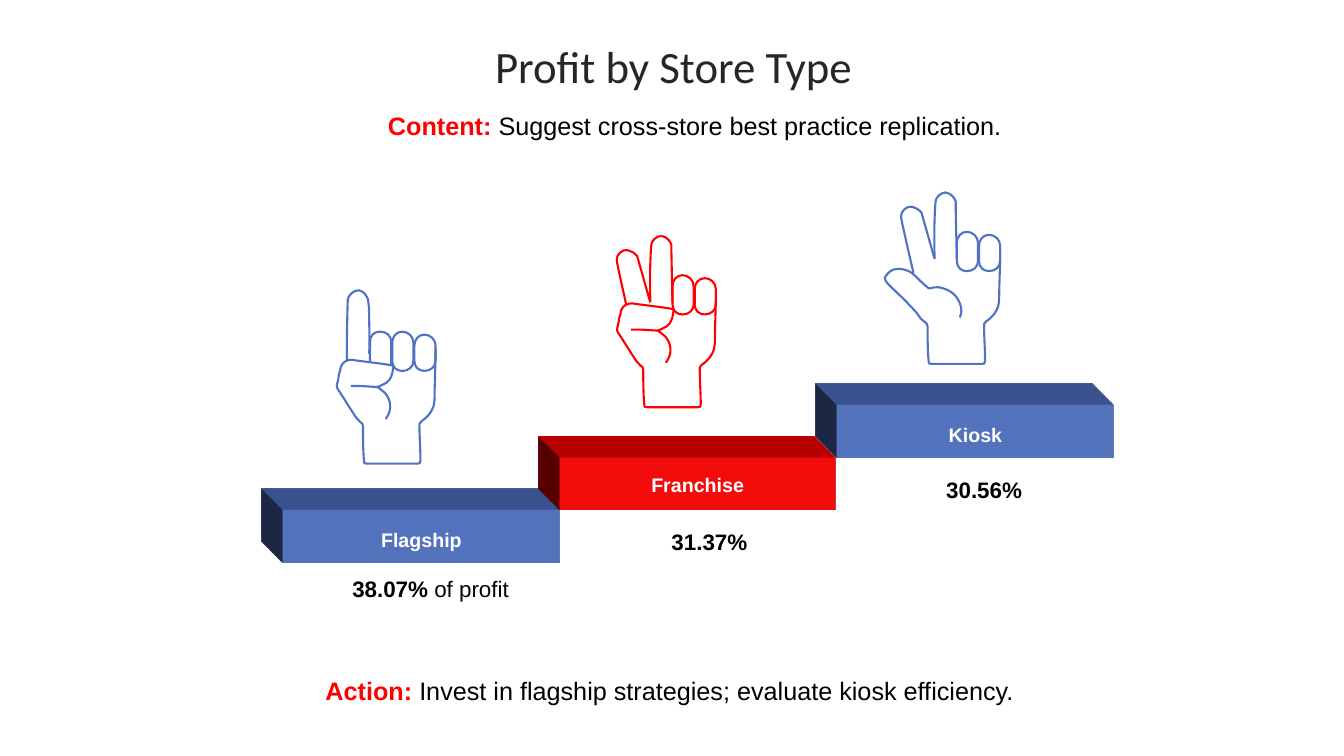
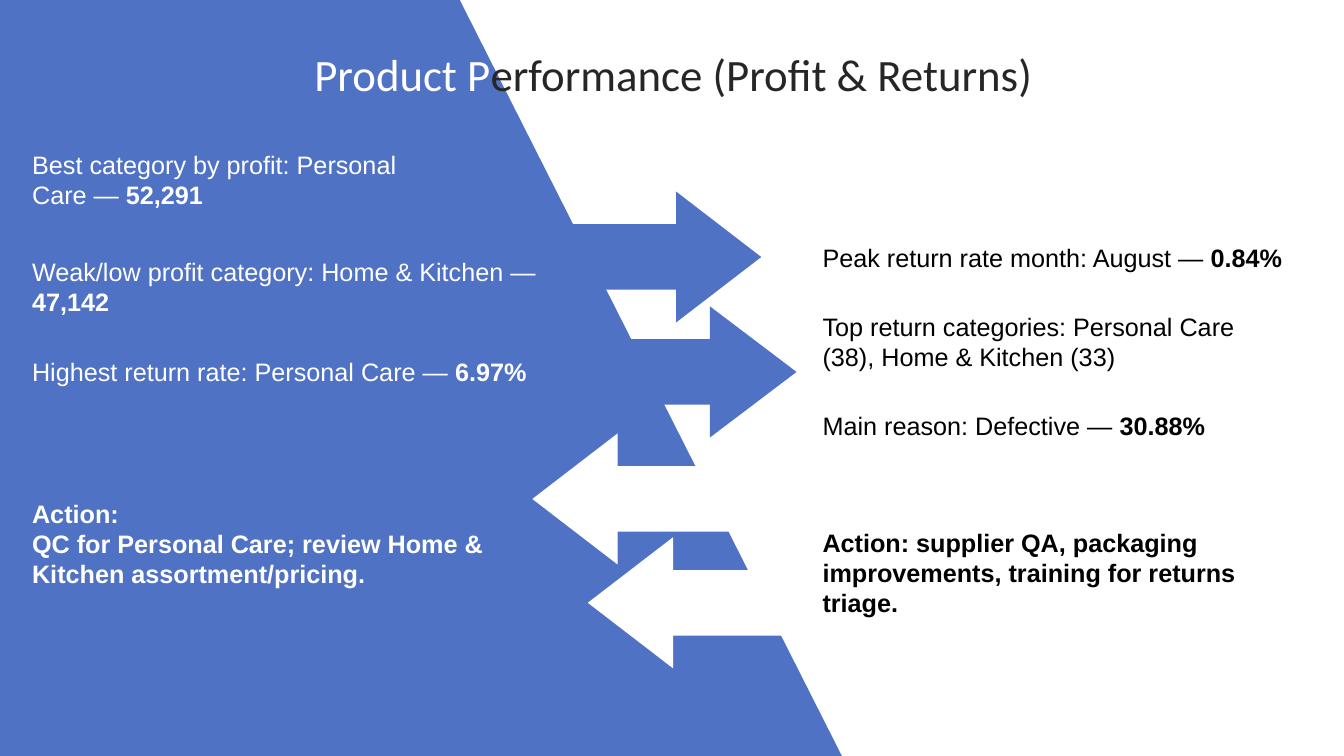
from dataclasses import dataclass

from lxml import etree
from pptx import Presentation
from pptx.dml.color import RGBColor
from pptx.enum.shapes import MSO_SHAPE
from pptx.enum.text import MSO_ANCHOR, PP_ALIGN
from pptx.oxml import parse_xml
from pptx.oxml.ns import nsdecls, qn
from pptx.util import Inches, Pt

RIGHT_ARROW = MSO_SHAPE.RIGHT_ARROW
RECTANGLE = MSO_SHAPE.RECTANGLE
LEFT, CENTER = PP_ALIGN.LEFT, PP_ALIGN.CENTER
TOP, MIDDLE = MSO_ANCHOR.TOP, MSO_ANCHOR.MIDDLE


@dataclass(frozen=True)
class Theme:
    blue: str = "5072C4"
    red: str = "FF0000"
    white: str = "FFFFFF"
    black: str = "000000"
    title_ink: str = "262626"
    title_font: str = "Calibri"
    body_font: str = "Arial"
    title_size: int = 32
    body_size: int = 18
    share_size: int = 16
    step_size: int = 14
    outline: float = 1.5


THEME = Theme()


def folded_finger(left, top, bottom=0.82):
    """Return a closed capsule as a hand path."""
    middle, right = left + 0.1, left + 0.21
    return [(middle, bottom),
            (middle - .06, bottom, left, bottom - .04, left, bottom - .1),
            (left, top + .11), (left, top + .05, middle - .06, top, middle, top),
            (middle + .06, top, right, top + .05, right, top + .11),
            (right, bottom - .1),
            (right, bottom - .04, middle + .06, bottom, middle, bottom)]


# Hand outlines in inches from the hand's own corner: a start point, then
# segments of two numbers (straight) or six numbers (Bezier curve).
FINGER_RIGHT = [
    (.57, .70), (.57, .70, .56, .23, .56, .22), (.56, .20, .56, .14, .56, .13),
    (.55, .10, .52, .05, .46, .04)]
FINGER_LEFT = [
    (.46, .04), (.41, .04, .36, .09, .36, .13), (.36, .13, .34, .32, .35, .69)]
POINTING_FINGER = [
    (.34, .65), (.35, .64, .34, .21, .34, .20), (.34, .18, .33, .12, .33, .11),
    (.32, .08, .29, .03, .24, .02), (.18, .02, .14, .07, .13, .11),
    (.13, .11, .12, .35, .12, .72)]
TILTED_FINGER = [
    (.35, .70), (.22, .24), (.21, .23, .18, .20, .17, .20),
    (.14, .18, .09, .17, .06, .20), (.03, .22, .01, .26, .02, .30)]
TILTED_TO_FIST = [(.06, .50, .11, .71, .11, .72)]
TILTED_TO_THUMB = [(.06, .50, .14, .83, .14, .84)]
FOLDED_MIDDLE = [
    (.35, .72), (.35, .53), (.35, .47, .39, .43, .45, .43),
    (.51, .43, .56, .47, .56, .53), (.56, .76)]
RING_AND_LITTLE = [folded_finger(.57, .43), folded_finger(.79, .46)]
PALM_CREASE = [
    (.16, .97), (.19, .97, .22, .97, .25, .97), (.26, .97, .42, .98, .42, .98),
    (.46, 1, .47, 1.02, .5, 1.04), (.56, 1.11, .57, 1.21, .51, 1.29),
    (.51, 1.29, .51, 1.3, .51, 1.3)]
WRIST = [
    (.28, 1.48, .28, 1.6, .29, 1.71), (.29, 1.74, .29, 1.74, .32, 1.74),
    (.48, 1.74, .65, 1.74, .82, 1.74), (.84, 1.74, .85, 1.74, .85, 1.71),
    (.85, 1.6, .84, 1.47, .84, 1.35), (.84, 1.34, .85, 1.33, .86, 1.32),
    (.92, 1.28, .96, 1.23, .98, 1.17), (.98, 1.15, .99, 1.13, .99, 1.11),
    (.99, .95, 1, .78, 1, .6)]
FIST = [
    (.42, .98), (.43, .97, .44, .97, .45, .97), (.47, .96, .49, .95, .51, .94),
    (.56, .91, .58, .83, .58, .77), (.58, .76, .22, .72, .17, .71),
    (.12, .71, .08, .73, .06, .78), (.06, .8, .05, .83, .04, .86),
    (.04, .88, .03, .93, .02, .96), (.02, .97, .02, .99, .03, 1),
    (.07, 1.06, .17, 1.22, .21, 1.28), (.22, 1.29, .25, 1.33, .27, 1.34),
    (.27, 1.34, .28, 1.35, .28, 1.37)] + WRIST
OPEN_THUMB = [
    (.6, 1.28), (.62, 1.23, .62, 1.19, .6, 1.14), (.56, 1.04, .49, 1, .39, .98),
    (.36, .98, .33, .98, .31, .99), (.3, .99, .29, .99, .29, .99),
    (.25, .96, .18, .89, .16, .87), (.14, .85, .12, .84, .11, .83),
    (.04, .79, -.06, .78, -.11, .84), (-.14, .88, -.18, .88, -.09, .97),
    (-.08, .98, .17, 1.21, .21, 1.29), (.22, 1.3, .26, 1.33, .27, 1.34),
    (.28, 1.35, .28, 1.36, .28, 1.37)] + WRIST

ONE = [POINTING_FINGER, FOLDED_MIDDLE, *RING_AND_LITTLE, PALM_CREASE, FIST]
TWO = [FINGER_LEFT, FINGER_RIGHT, TILTED_FINGER + TILTED_TO_FIST,
       *RING_AND_LITTLE, PALM_CREASE, FIST]
THREE = [FINGER_RIGHT + FINGER_LEFT[1:], OPEN_THUMB,
         TILTED_FINGER + TILTED_TO_THUMB, *RING_AND_LITTLE]


@dataclass(frozen=True)
class Store:
    name: str
    share: str
    suffix: str
    color: str
    sign: list
    hand_corner: tuple
    step_corner: tuple
    name_box: tuple
    share_box: tuple


STORES = [
    Store("Kiosk", "30.56%", "", THEME.blue, THREE, (8.92, 1.87), (8.3, 4.02),
          (8.55, 4.14, 2.25, 0.34), (8.41, 4.67, 2.8, 0.37)),
    Store("Flagship", "38.07%", " of profit", THEME.blue, ONE, (3.32, 2.86),
          (2.81, 5.06), (3.44, 5.18, 1.48, 0.34), (3.12, 5.66, 2.4, 0.37)),
    Store("Franchise", "31.37%", "", THEME.red, TWO, (6.1, 2.3), (5.55, 4.54),
          (6.18, 4.64, 1.48, 0.34), (5.68, 5.19, 2.81, 0.37)),
]


class Deck:
    def __init__(self, theme):
        self.theme = theme
        self.prs = Presentation()
        self.prs.slide_width = Inches(13.33)
        self.prs.slide_height = Inches(7.5)
        self.slide = None

    def new_slide(self):
        self.slide = self.prs.slides.add_slide(self.prs.slide_layouts[6])

    def paint(self, shape, fill=None, line=None):
        shape.shadow.inherit = False
        if fill:
            shape.fill.solid()
            shape.fill.fore_color.rgb = RGBColor.from_string(fill)
        else:
            shape.fill.background()
        if line:
            shape.line.color.rgb = RGBColor.from_string(line)
            shape.line.width = Pt(self.theme.outline)
        else:
            shape.line.fill.background()

    def preset(self, kind, box, fill):
        shape = self.slide.shapes.add_shape(kind, *map(Inches, box))
        self.paint(shape, fill)
        return shape

    def outline(self, shapes, segments, origin=(0, 0), fill=None, line=None):
        """Draw lines and Bezier curves as one freeform."""
        start, *vertices = [(Inches(segment[i]), Inches(segment[i + 1]))
                            for segment in segments
                            for i in range(0, len(segment), 2)]
        builder = shapes.build_freeform(*start)
        closed = fill is not None or start == vertices[-1]
        builder.add_line_segments(vertices, close=closed)
        shape = builder.convert_to_shape(*map(Inches, origin))
        self.paint(shape, fill, line)
        lines = iter(shape.element.xpath(".//a:lnTo"))
        for segment in segments[1:]:
            first = next(lines)
            if len(segment) == 6:
                curve = etree.Element(qn("a:cubicBezTo"))
                first.addprevious(curve)
                for vertex in (first, next(lines), next(lines)):
                    curve.append(vertex[0])
                    vertex.getparent().remove(vertex)

    def hand(self, corner, paths, color):
        group = self.slide.shapes.add_group_shape()
        for segments in paths:
            self.outline(group.shapes, segments, corner, line=color)

    def step(self, corner, color):
        """Draw a block extruded one inch towards the top left."""
        block = self.preset(RECTANGLE, (*corner, 2.74, 0.52), color)
        properties = block.element.spPr
        properties.append(parse_xml(
            f'<a:scene3d {nsdecls("a")}><a:camera prst="obliqueTopLeft"/>'
            '<a:lightRig rig="threePt" dir="t"/></a:scene3d>'))
        properties.append(parse_xml(
            f'<a:sp3d {nsdecls("a")} extrusionH="{Inches(1)}"/>'))

    def arrow(self, left, top, color, head, rotation=0):
        arrow = self.preset(RIGHT_ARROW, (left, top, 1.99, 1.3), color)
        arrow.adjustments[0] = 0.5
        arrow.adjustments[1] = head
        arrow.rotation = rotation

    def text(self, box, paragraphs, size=None, font=None, align=LEFT,
             anchor=TOP, left_inset=0.1):
        """Each paragraph is a list of (text, colour, bold) runs."""
        frame = self.slide.shapes.add_textbox(*map(Inches, box)).text_frame
        frame.word_wrap = True
        frame.vertical_anchor = anchor
        frame.margin_left = Inches(left_inset)
        for index, runs in enumerate(paragraphs):
            paragraph = frame.add_paragraph() if index else frame.paragraphs[0]
            paragraph.alignment = align
            for words, color, bold in runs:
                run = paragraph.add_run()
                run.text = words
                run.font.size = Pt(size or self.theme.body_size)
                run.font.name = font or self.theme.body_font
                run.font.bold = bold
                run.font.color.rgb = RGBColor.from_string(color)
        return frame

    def title(self, box, *runs):
        frame = self.text(box, [[(words, color, False) for words, color in runs]],
                          self.theme.title_size, self.theme.title_font,
                          CENTER, MIDDLE)
        frame.paragraphs[0].line_spacing = 0.9
        frame.paragraphs[0].space_before = Pt(10)

    def lead(self, box, label, sentence):
        self.text(box, [[(label, self.theme.red, True),
                         (sentence, self.theme.black, False)]])


def store_type_slide(deck):
    theme = deck.theme
    deck.new_slide()
    deck.title((2.47, 0.29, 8.42, 0.79), ("Profit by Store Type", theme.title_ink))
    for store in STORES:
        deck.hand(store.hand_corner, store.sign, store.color)
    for store in STORES:
        deck.step(store.step_corner, store.color)
    for store in STORES:
        deck.text(store.name_box, [[(store.name, theme.white, True)]],
                  theme.step_size, align=CENTER, anchor=MIDDLE)
        share = [(store.share, theme.black, True)]
        if store.suffix:
            share.append((store.suffix, theme.black, False))
        deck.text(store.share_box, [share], theme.share_size, align=CENTER,
                  left_inset=0)
    deck.lead((3.75, 1.05, 6.67, 0.4), "Content: ",
              "Suggest cross-store best practice replication.")
    deck.lead((3.13, 6.65, 7.06, 0.4), "Action: ",
              "Invest in flagship strategies; evaluate kiosk efficiency.")


def product_slide(deck):
    theme = deck.theme
    white, black = theme.white, theme.black
    deck.new_slide()
    deck.outline(deck.slide.shapes,
                 [(4.55, -0.02), (8.36, 7.52), (-0.01, 7.52), (-0.01, 0)],
                 fill=theme.blue)
    deck.arrow(5.28, 4.3, white, 0.65, rotation=180)
    deck.arrow(5.83, 5.33, white, 0.65, rotation=180)
    deck.arrow(5.91, 3.04, theme.blue, 0.66)
    deck.arrow(5.56, 1.9, theme.blue, 0.65)
    deck.title((0.35, 0.37, 12.66, 0.79), ("Product P", white),
               ("erformance (Profit & Returns)", theme.title_ink))

    profit_notes = [
        (1.43, 4.31, 0.71, [[("Best category by profit: Personal Care — ", False),
                             ("52,291", True)]]),
        (2.49, 6.74, 0.71, [[("Weak/low profit category: Home & Kitchen —", False)],
                            [("47,142", True)]]),
        (3.49, 6.74, 0.4, [[("Highest return rate: Personal Care — ", False),
                            ("6.97%", True)]]),
        (4.89, 4.83, 1.01, [[("Action:", True)],
                            [("QC for Personal Care; review Home & Kitchen "
                              "assortment/pricing.", True)]]),
    ]
    return_notes = [
        (2.35, 5.27, 0.4, [[("Peak return rate month: August — ", False),
                            ("0.84%", True)]]),
        (3.04, 4.68, 0.71, [[("Top return categories: Personal Care (38), "
                              "Home & Kitchen (33)", False)]]),
        (4.02, 4.85, 0.4, [[("Main reason: Defective — ", False),
                            ("30.88%", True)]]),
        (5.18, 5, 1.01, [[("Action: supplier QA, packaging improvements, "
                           "training for returns triage.", True)]]),
    ]
    for left, color, notes in ((0.22, white, profit_notes),
                               (8.06, black, return_notes)):
        for top, width, height, paragraphs in notes:
            deck.text((left, top, width, height),
                      [[(words, color, bold) for words, bold in runs]
                       for runs in paragraphs])


def main():
    deck = Deck(THEME)
    store_type_slide(deck)
    product_slide(deck)
    deck.prs.save("out.pptx")


if __name__ == "__main__":
    main()
